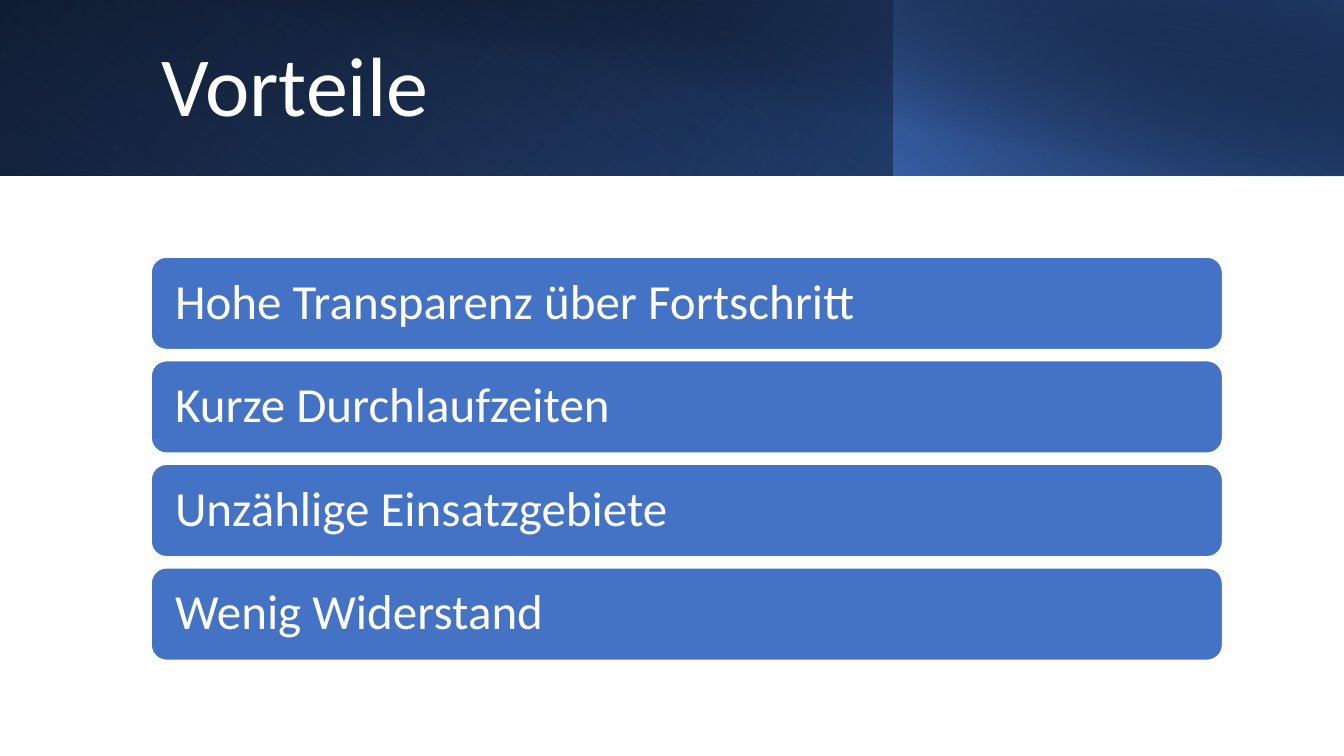
from lxml.etree import SubElement
from pptx import Presentation
from pptx.dml.color import RGBColor
from pptx.enum.shapes import MSO_SHAPE as Shape
from pptx.enum.text import MSO_ANCHOR as Anchor, MSO_AUTO_SIZE as AutoSize, PP_ALIGN as Align
from pptx.oxml.ns import qn
from pptx.util import Cm, Pt

COLORS = {
    "white": "FFFFFF",
    "black": "000000",
    "blue": "4472C4",
    "medium": "2F5597",
    "navy": "203864",
}


class SlideBuilder:
    """Draw styled elements on the current page."""

    font = "Calibri"

    def __init__(self, deck):
        """Add a title-only page to the deck."""
        self.page = deck.slides.add_slide(deck.slide_layouts[5])

    def color(self, name):
        """Look up a palette colour."""
        return RGBColor.from_string(COLORS[name])

    def shape(self, kind, left, top, width, height):
        """Add a shape without shadow, measured in centimetres."""
        box = self.page.shapes.add_shape(kind, Cm(left), Cm(top), Cm(width), Cm(height))
        box.shadow.inherit = False
        return box

    def label(self, box, text, size):
        """Set white, left-aligned text, vertically centred in a box."""
        frame = box.text_frame
        frame.text = text
        frame.word_wrap = True
        frame.auto_size = AutoSize.NONE
        frame.vertical_anchor = Anchor.MIDDLE
        para = frame.paragraphs[0]
        para.alignment = Align.LEFT
        para.line_spacing = 0.9
        font = para.runs[0].font
        font.name, font.size = self.font, Pt(size)
        font.color.rgb = self.color("white")

    def gradient(self, left, width, height, angle, stops):
        """Add a top band with stops of position, colour and opacity in percent."""
        band = self.shape(Shape.RECTANGLE, left, 0, width, height)
        band.line.fill.background()
        band.fill.gradient()
        band.fill.gradient_angle = angle
        for stop, (position, name, _) in zip(band.fill.gradient_stops, stops):
            stop.position = position / 100
            stop.color.rgb = self.color(name)
        tints = band.element.spPr.iter(qn("a:srgbClr"))
        for tint, (_, _, opacity) in zip(list(tints), stops):
            SubElement(tint, qn("a:alpha")).set("val", str(opacity * 1000))

    def title(self, text):
        """Place the title above the header bands."""
        title = self.page.shapes.title
        self.page.shapes.element.append(title.element)
        title.left, title.top = Cm(3.81), Cm(0.81)
        title.width, title.height = Cm(27.48), Cm(2.87)
        self.label(title, text, 60)

    def bar(self, text, top):
        """Add a rounded bar with one advantage."""
        bar = self.shape(Shape.ROUNDED_RECTANGLE, 3.81, top, 27, 2.33)
        bar.fill.solid()
        bar.fill.fore_color.rgb = self.color("blue")
        bar.line.color.rgb = self.color("white")
        bar.line.width = Pt(1)
        self.label(bar, text, 35)
        bar.text_frame.margin_left = bar.text_frame.margin_right = Cm(0.49)


def main():
    """Build and save the deck."""
    deck = Presentation()
    deck.slide_width, deck.slide_height = Cm(33.87), Cm(19.05)
    builder = SlideBuilder(deck)
    bands = [
        (0, 33.87, 4.42, 320, [(0, "black", 100), (100, "medium", 100)]),
        (0, 22.55, 4.42, 230, [(20, "blue", 0), (100, "navy", 55)]),
        (22.53, 11.34, 4.42, 40, [(0, "blue", 66), (100, "black", 30)]),
        (1.27, 32.6, 4.45, 80, [(50, "black", 0), (99, "navy", 52)]),
    ]
    for band in bands:
        builder.gradient(*band)
    builder.title("Vorteile")
    advantages = [
        "Hohe Transparenz über Fortschritt",
        "Kurze Durchlaufzeiten",
        "Unzählige Einsatzgebiete",
        "Wenig Widerstand",
    ]
    for index, advantage in enumerate(advantages):
        builder.bar(advantage, 6.48 + 2.61 * index)
    deck.save("out.pptx")


if __name__ == "__main__":
    main()
